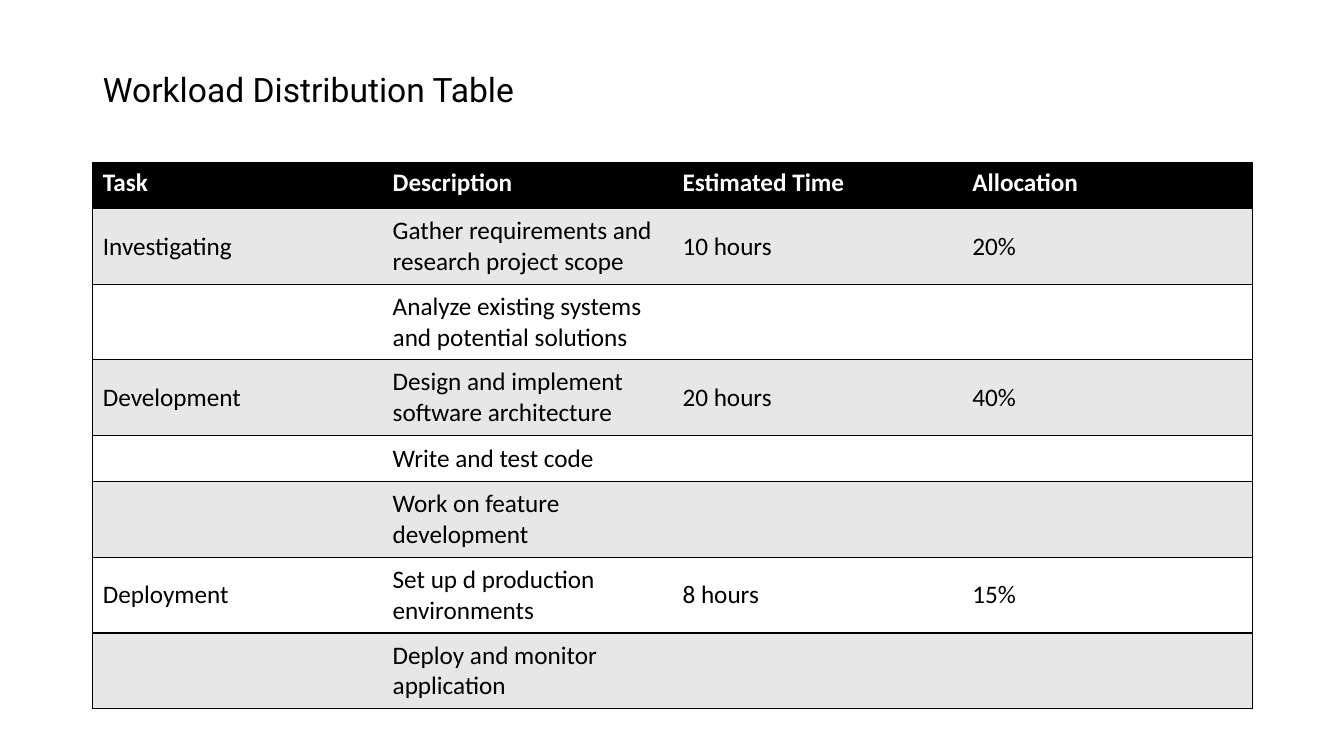
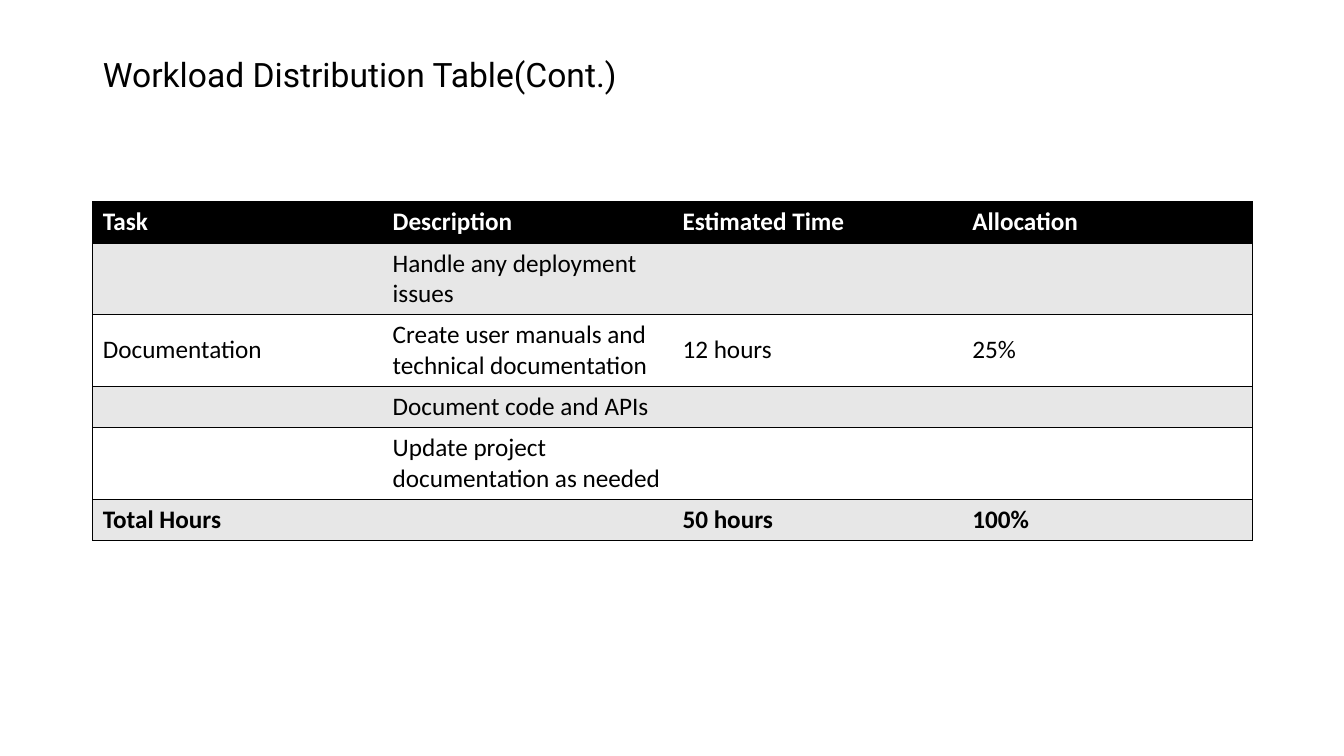
"""Build two slides that show a workload distribution table."""
from lxml.etree import SubElement
from pptx import Presentation
from pptx.dml.color import RGBColor
from pptx.enum.text import MSO_ANCHOR as Anchor, PP_ALIGN as Align
from pptx.oxml.ns import qn
from pptx.util import Inches, Pt

BLACK = RGBColor(0x00, 0x00, 0x00)
WHITE = RGBColor(0xFF, 0xFF, 0xFF)
GREY = RGBColor(0xE7, 0xE7, 0xE7)

HEADINGS = ("Task", "Description", "Estimated Time", "Allocation")
LEFT, WIDTH = Inches(0.92), Inches(11.5)
TITLE_TOP = Inches(0.4)
TITLE_FONT = {"name": "Roboto", "size": Pt(24), "bold": False}
BODY_FONT = {"name": "Calibri", "size": Pt(18)}

SECTIONS = [
    {
        "title": "Workload Distribution Table",
        "title_height": 1.02,
        "table_top": 1.61,
        "row_heights": [0.46, 0.75, 0.75, 0.75, 0.46, 0.75, 0.75, 0.75],
        "tasks": [
            ("Investigating", "Gather requirements and research project scope", "10 hours", "20%"),
            ("", "Analyze existing systems and potential solutions", "", ""),
            ("Development", "Design and implement software architecture", "20 hours", "40%"),
            ("", "Write and test code", "", ""),
            ("", "Work on feature development", "", ""),
            ("Deployment", "Set up d production environments", "8 hours", "15%"),
            ("", "Deploy and monitor application", "", ""),
        ],
    },
    {
        "title": "Workload Distribution Table(Cont.)",
        "title_height": 0.72,
        "table_top": 2,
        "row_heights": [0.41] * 6,
        "tasks": [
            ("", "Handle any deployment issues", "", ""),
            ("Documentation", "Create user manuals and technical documentation", "12 hours", "25%"),
            ("", "Document code and APIs", "", ""),
            ("", "Update project documentation as needed", "", ""),
            ("Total Hours", "", "50 hours", "100%"),
        ],
    },
]


def set_format(target, values):
    """Set each named attribute on the target."""
    for name, value in values.items():
        setattr(target, name, value)


def add_borders(cell, visible_sides):
    """Draw the visible sides in black and clear the others."""
    properties = cell._tc.get_or_add_tcPr()
    for side in "LRTB":
        border = SubElement(properties, qn(f"a:ln{side}"), w=str(Pt(1)))
        if side in visible_sides:
            ink = SubElement(border, qn("a:solidFill"))
            SubElement(ink, qn("a:srgbClr"), val=str(BLACK))
        else:
            SubElement(border, qn("a:noFill"))


deck = Presentation()
set_format(deck, {"slide_width": Inches(13.33), "slide_height": Inches(7.5)})
title_only = deck.slide_layouts[5]

for section in SECTIONS:
    slide = deck.slides.add_slide(title_only)
    title = slide.shapes.title
    set_format(title, {"left": LEFT, "top": TITLE_TOP, "width": WIDTH,
                       "height": Inches(section["title_height"])})
    title.text_frame.text = section["title"]
    title.text_frame.vertical_anchor = Anchor.MIDDLE
    heading = title.text_frame.paragraphs[0]
    set_format(heading, {"alignment": Align.LEFT, "line_spacing": 0.9})
    set_format(heading.runs[0].font, TITLE_FONT)
    heading.runs[0].font.color.rgb = BLACK

    rows = [HEADINGS, *section["tasks"]]
    heights = section["row_heights"]
    table = slide.shapes.add_table(
        len(rows), len(HEADINGS), LEFT, Inches(section["table_top"]),
        WIDTH, Inches(sum(heights))).table
    table.horz_banding = False

    for row, (values, height) in enumerate(zip(rows, heights)):
        table.rows[row].height = Inches(height)
        is_header = row == 0
        is_bold = is_header or values[0] == "Total Hours"
        band = BLACK if is_header else GREY if row % 2 else WHITE
        for column, value in enumerate(values):
            cell = table.cell(row, column)
            outer_side = {0: "L", len(HEADINGS) - 1: "R"}.get(column, "")
            add_borders(cell, "TB" + outer_side)
            cell.fill.solid()
            cell.fill.fore_color.rgb = band
            cell.vertical_anchor = Anchor.TOP if is_header else Anchor.MIDDLE
            cell.text = value
            font = cell.text_frame.paragraphs[0].font
            set_format(font, BODY_FONT)
            for run in cell.text_frame.paragraphs[0].runs:
                set_format(run.font, {**BODY_FONT, "bold": is_bold})
                run.font.color.rgb = WHITE if is_header else BLACK

deck.save("out.pptx")
